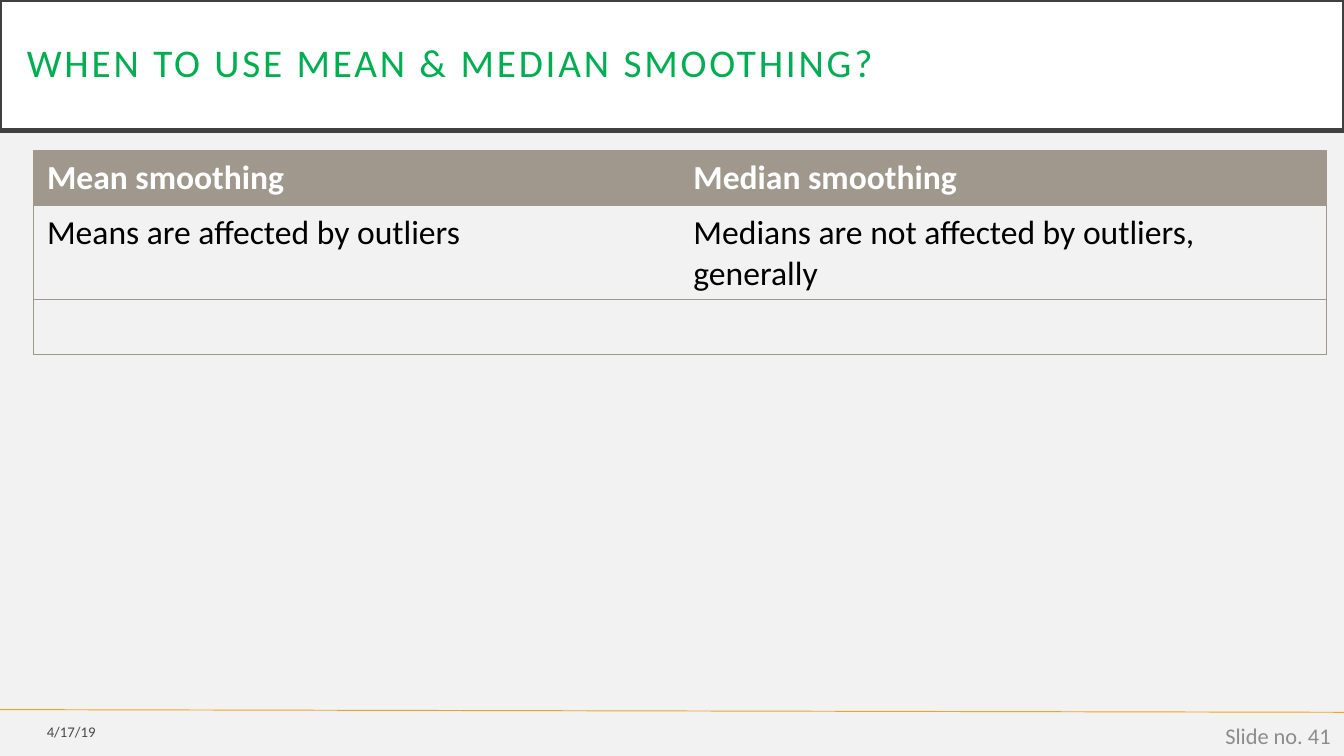
from lxml import etree
from pptx import Presentation
from pptx import util as u
from pptx.dml.color import RGBColor
from pptx.enum import shapes, text
from pptx.oxml import ns

FONT = "Calibri"
WIDTH = 10
HEIGHT = WIDTH * 9 / 16
COLOURS = {
    "background": "F2F2F2",
    "white": "FFFFFF",
    "black": "000000",
    "title": "00B050",
    "frame": "404040",
    "footer_rule": "F6A21D",
    "date": "494949",
    "number": "8C8C8C",
    "table": "A0988C",
}
ROWS = [
    ["Mean smoothing", "Median smoothing"],
    ["Means are affected by outliers", "Medians are not affected by outliers, generally"],
    ["", ""],
]


def rgb(name):
    return RGBColor.from_string(COLOURS[name])


def write(frame, words, size, colour, bold=False, align=text.PP_ALIGN.LEFT):
    frame.text = words
    para = frame.paragraphs[0]
    para.alignment = align
    for span in para.runs:
        span.font.name = FONT
        span.font.size = u.Pt(size)
        span.font.bold = bold
        span.font.color.rgb = rgb(colour)
    return para


def add_title(page, words):
    box = page.shapes.add_shape(
        shapes.MSO_SHAPE.RECTANGLE, 0, 0, u.Inches(WIDTH), u.Inches(0.97))
    box.shadow.inherit = False
    box.fill.solid()
    box.fill.fore_color.rgb = rgb("white")
    box.line.color.rgb = rgb("frame")
    box.line.width = u.Pt(2.5)
    frame = box.text_frame
    frame.word_wrap = True
    frame.vertical_anchor = text.MSO_ANCHOR.MIDDLE
    frame.margin_left = frame.margin_right = u.Inches(0.2)
    frame.margin_top = frame.margin_bottom = u.Inches(0.2)
    para = write(frame, words, 21, "title")
    para.line_spacing = 0.9
    para.runs[0].font._element.set("spc", "150")


def add_footer_rule(page):
    rule = page.shapes.add_connector(
        shapes.MSO_CONNECTOR.STRAIGHT, 0, u.Inches(5.28), u.Inches(WIDTH), u.Inches(5.3))
    rule.line.color.rgb = rgb("footer_rule")
    rule.line.width = u.Pt(0.5)
    etree.SubElement(rule._element.spPr, ns.qn("a:effectLst"))


def add_footer_text(page, words, left, top, width, height, size, colour):
    box = page.shapes.add_textbox(
        u.Inches(left), u.Inches(top), u.Inches(width), u.Inches(height))
    frame = box.text_frame
    frame.word_wrap = True
    frame.vertical_anchor = text.MSO_ANCHOR.MIDDLE
    write(frame, words, size, colour, align=text.PP_ALIGN.RIGHT)


def set_borders(cell, sides):
    """Draw the named sides (L, R, T, B) and leave the others without a line."""
    properties = cell._tc.get_or_add_tcPr()
    for position, side in enumerate("LRTB"):
        line = etree.Element(ns.qn(f"a:ln{side}"), w=str(u.Pt(0.5)))
        if side in sides:
            fill = etree.SubElement(line, ns.qn("a:solidFill"))
            etree.SubElement(fill, ns.qn("a:srgbClr"), val=COLOURS["table"])
        else:
            etree.SubElement(line, ns.qn("a:noFill"))
        properties.insert(position, line)


def add_comparison(page):
    table = page.shapes.add_table(
        len(ROWS), 2, u.Inches(0.25), u.Inches(1.12),
        u.Inches(9.62), u.Inches(1.22)).table
    table.horz_banding = False
    for column in table.columns:
        column.width = u.Inches(4.81)
    for r, row in enumerate(ROWS):
        table.rows[r].height = u.Inches(0.41)
        for c, words in enumerate(row):
            cell = table.cell(r, c)
            header = r == 0
            if header:
                cell.fill.solid()
                cell.fill.fore_color.rgb = rgb("table")
            else:
                cell.fill.background()
            write(cell.text_frame, words, 18, "white" if header else "black", header)
            set_borders(cell, "TB" + "LR"[c])


def main():
    deck = Presentation()
    deck.slide_width, deck.slide_height = u.Inches(WIDTH), u.Inches(HEIGHT)
    page = deck.slides.add_slide(deck.slide_layouts[6])
    page.background.fill.solid()
    page.background.fill.fore_color.rgb = rgb("background")
    add_footer_rule(page)
    add_title(page, "WHEN TO USE MEAN & MEDIAN SMOOTHING?")
    add_footer_text(page, "4/17/19", 0, 5.31, 0.81, 0.27, 7.9, "date")
    add_footer_text(page, "Slide no. 41", 7.75, 5.32, 2.25, 0.3, 12, "number")
    add_comparison(page)
    deck.save("out.pptx")


if __name__ == "__main__":
    main()
